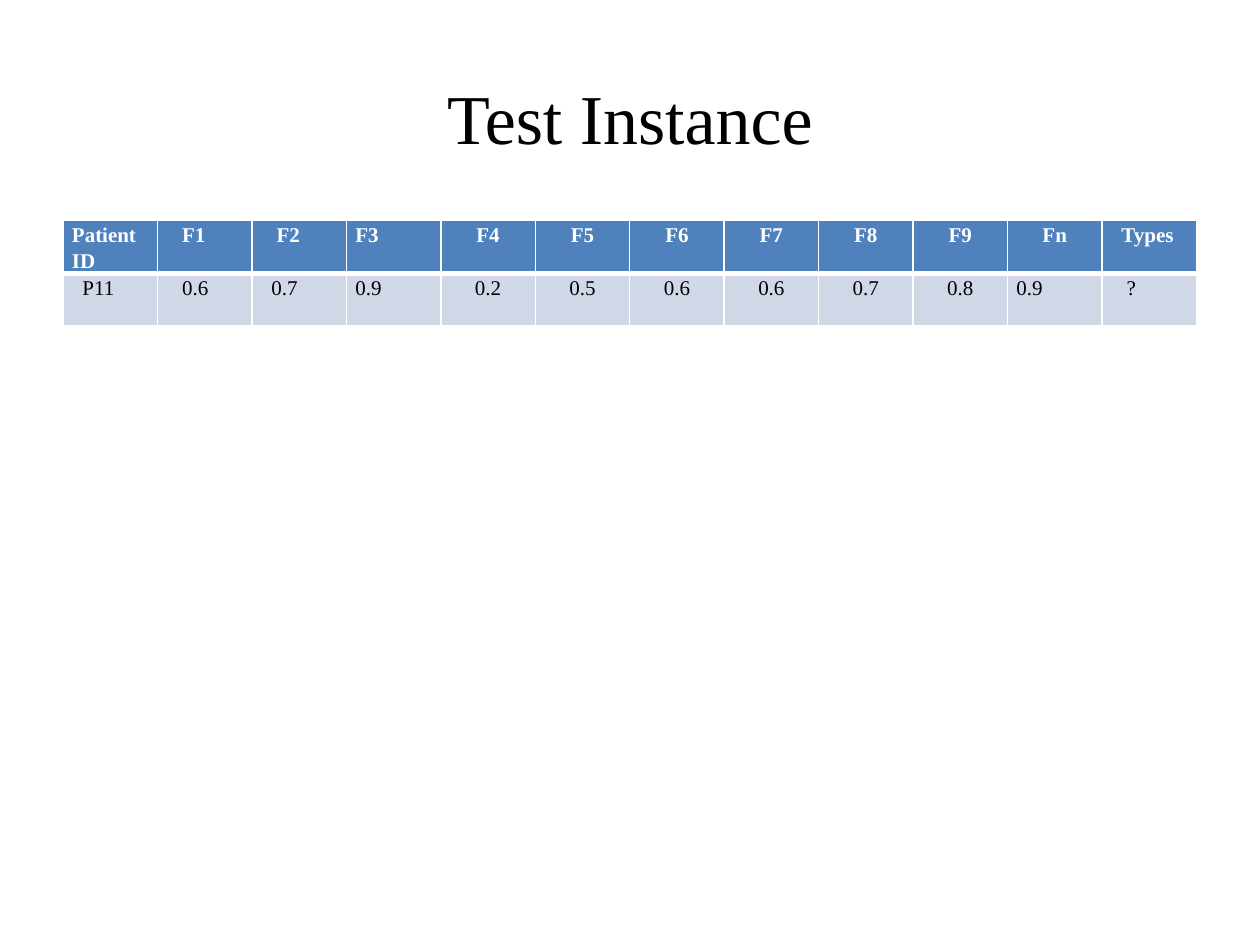
from lxml import etree
from pptx import Presentation
from pptx.dml.color import RGBColor
from pptx.enum.text import MSO_ANCHOR, PP_ALIGN
from pptx.oxml.ns import qn
from pptx.util import Pt

LEFT, CENTER = PP_ALIGN.LEFT, PP_ALIGN.CENTER
MIDDLE, TOP = MSO_ANCHOR.MIDDLE, MSO_ANCHOR.TOP
PX = 914400 // 126
BLACK = RGBColor(0x00, 0x00, 0x00)
WHITE = RGBColor(0xFF, 0xFF, 0xFF)
HEADER_BLUE = RGBColor(0x4F, 0x81, 0xBD)
ROW_BLUE = RGBColor(0xD0, 0xD8, 0xE8)
FONT = "Times New Roman"
CELL_INSET = 9
SPACE_WIDTH = 5.25
COLUMN_WIDTH = 94.5
ROW_HEIGHT = 52

HEADINGS = ["Patient ID", "F1", "F2", "F3", "F4", "F5", "F6", "F7", "F8", "F9", "Fn", "Types"]
PATIENT = ["P11", "0.6", "0.7", "0.9", "0.2", "0.5", "0.6", "0.6", "0.7", "0.8", "0.9", "?"]
HEADING_INDENTS = {1: 3, 2: 3, 11: 2}
PATIENT_INDENTS = {0: 2, 1: 3, 2: 2, 11: 3}
HEADING_CENTERED = range(4, 11)
PATIENT_CENTERED = range(4, 10)


def px(length):
    return round(length * PX)


def apply(target, values):
    for name, value in values.items():
        setattr(target, name, value)


def style_font(font, color, **values):
    apply(font, {"name": FONT, **values})
    font.color.rgb = color


def add_title(slide, text):
    title = slide.shapes.title
    apply(title, {"left": px(63), "top": px(38), "width": px(1134), "height": px(158)})
    frame = title.text_frame
    apply(frame, {"text": text, "vertical_anchor": MIDDLE, "word_wrap": True})
    paragraph = frame.paragraphs[0]
    paragraph.alignment = CENTER
    style_font(paragraph.runs[0].font, BLACK, size=Pt(40))


def add_borders(cell, widths):
    properties = cell._tc.get_or_add_tcPr()
    for side, width in widths.items():
        line = etree.SubElement(properties, qn(f"a:ln{side}"), w=str(Pt(width)))
        fill = etree.SubElement(line, qn("a:solidFill"))
        etree.SubElement(fill, qn("a:srgbClr"), val=str(WHITE))


def fill_row(cells, texts, indents, centered, fill, color, bold, borders):
    for column, (cell, text) in enumerate(zip(cells, texts)):
        indent = indents.get(column, 0) * SPACE_WIDTH
        apply(cell, {"text": text, "vertical_anchor": TOP,
                     "margin_left": px(CELL_INSET + indent), "margin_right": px(CELL_INSET),
                     "margin_top": 0, "margin_bottom": 0})
        add_borders(cell, borders)
        cell.fill.solid()
        cell.fill.fore_color.rgb = fill
        paragraph = cell.text_frame.paragraphs[0]
        apply(paragraph, {"alignment": CENTER if column in centered else LEFT,
                          "line_spacing": 1.15})
        style_font(paragraph.runs[0].font, color, size=Pt(12), bold=bold)


def add_patient_table(slide):
    count = len(HEADINGS)
    table = slide.shapes.add_table(2, count, px(63), px(220),
                                   px(COLUMN_WIDTH * count), px(ROW_HEIGHT * 2)).table
    for column in table.columns:
        column.width = px(COLUMN_WIDTH)
    for row in table.rows:
        row.height = px(ROW_HEIGHT)
    fill_row(table.rows[0].cells, HEADINGS, HEADING_INDENTS, HEADING_CENTERED,
             HEADER_BLUE, WHITE, True, {"L": 1, "R": 1, "T": 1, "B": 3})
    fill_row(table.rows[1].cells, PATIENT, PATIENT_INDENTS, PATIENT_CENTERED,
             ROW_BLUE, BLACK, False, {"L": 1, "R": 1, "T": 3, "B": 1})


def main():
    presentation = Presentation()
    apply(presentation, {"slide_width": px(1260), "slide_height": px(945)})
    slide = presentation.slides.add_slide(presentation.slide_layouts[5])
    add_title(slide, "Test Instance")
    add_patient_table(slide)
    presentation.save("out.pptx")


main()
